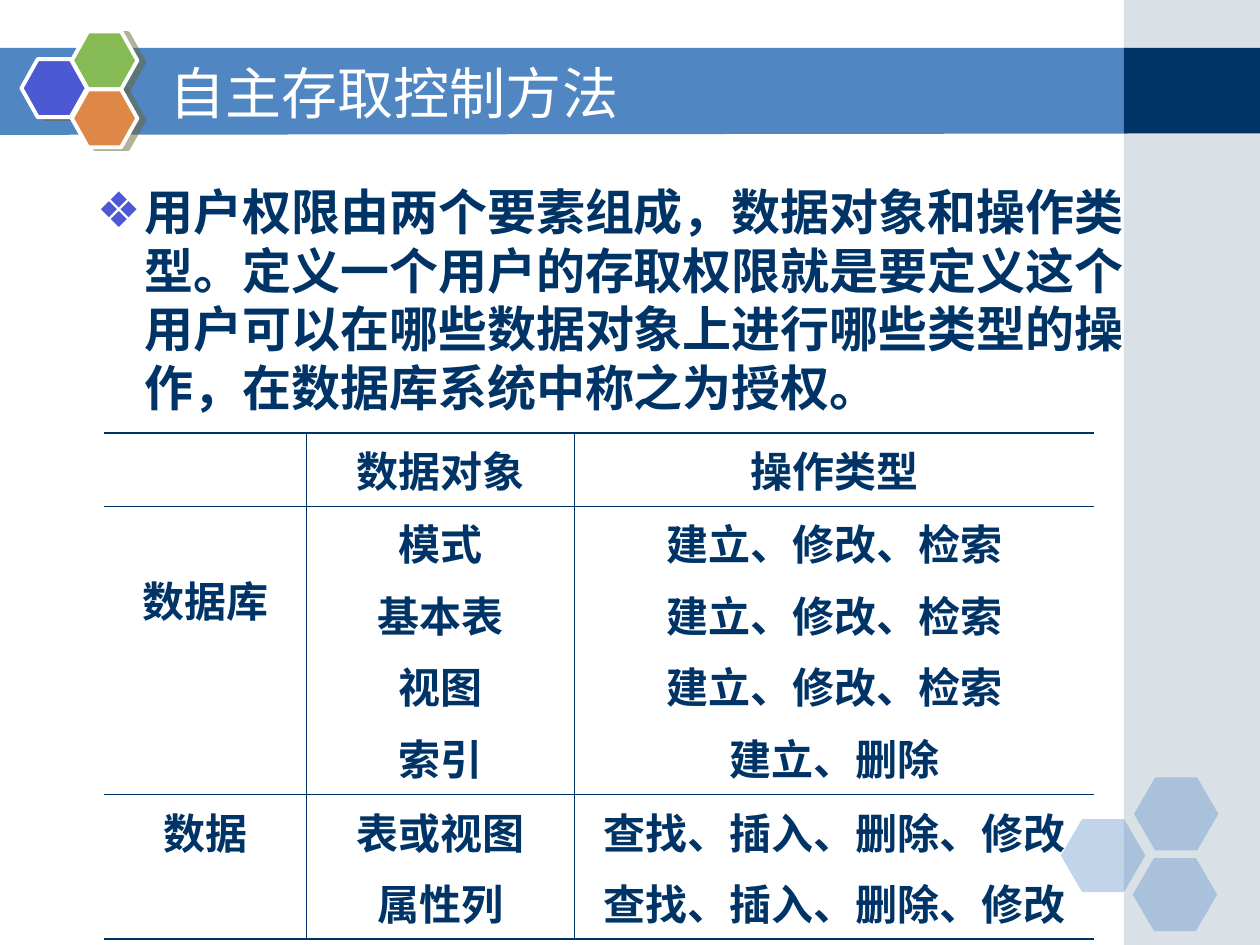
from lxml import etree
from pptx import Presentation
from pptx.dml.color import RGBColor
from pptx.enum.shapes import MSO_SHAPE as SHAPE
from pptx.enum.text import MSO_ANCHOR as ANCHOR, PP_ALIGN as ALIGN
from pptx.oxml.ns import qn
from pptx.util import Inches, Pt

COLS, ROWS = 100, 75  # grid over the slide
NAVY, BLUE, WHITE = "003366", "5086C2", "FFFFFF"


def rgb(value):
    return RGBColor.from_string(value)


def child(parent, tag, **attrs):
    return etree.SubElement(parent, qn(tag), {k: str(v) for k, v in attrs.items()})


def write(p, text, size=24, font="Times New Roman", color=NAVY, bold=False,
          align=None, before=0, asian=None):
    """Put one formatted run in a paragraph."""
    p.alignment = align
    p.space_before = Pt(before)
    r = p.add_run()
    r.text = text
    r.font.size, r.font.name, r.font.bold = Pt(size), font, bold
    r.font.color.rgb = rgb(color)
    if asian:
        child(r.font._element, "a:ea", typeface=asian)
    return p


class Deck:
    sans = "DejaVu Sans"

    def __init__(self):
        self.prs = Presentation()
        self.prs.slide_width, self.prs.slide_height = Inches(10), Inches(7.5)
        self.s = self.prs.slides.add_slide(self.prs.slide_layouts[6])

    def x(self, cols):
        return round(self.prs.slide_width * cols / COLS)

    def y(self, rows):
        return round(self.prs.slide_height * rows / ROWS)

    def box(self, left, top, width, height):
        return self.x(left), self.y(top), self.x(width), self.y(height)

    def paint(self, sp, fill, alpha=None):
        sp.shadow.inherit = False
        sp.fill.solid()
        sp.fill.fore_color.rgb = rgb(fill)
        sp.line.fill.background()
        if alpha:
            color = sp._element.spPr.find(".//" + qn("a:srgbClr"))
            child(color, "a:alpha", val=alpha * 1000)
        return sp

    def shape(self, kind, at, fill, alpha=None):
        return self.paint(self.s.shapes.add_shape(kind, *self.box(*at)), fill, alpha)

    def outline(self, points, fill):
        first, *rest = [(self.x(a), self.y(b)) for a, b in points]
        builder = self.s.shapes.build_freeform(*first)
        builder.add_line_segments(rest, close=True)
        return self.paint(builder.convert_to_shape(), fill)

    def hexagon(self, at, fill, alpha=None, raised=False):
        sp = self.shape(SHAPE.HEXAGON, at, fill, alpha)
        sp.adjustments[0] = 0.28 if raised else 0.29
        if raised:
            sp.line.color.rgb, sp.line.width = rgb(WHITE), Pt(2.25)
            effects = sp._element.spPr.find(qn("a:effectLst"))
            shadow = child(effects, "a:outerShdw", dist=Pt(4.1), dir=14 * 60000,
                           algn="ctr", rotWithShape=0)
            child(child(shadow, "a:srgbClr", val="666633"), "a:alpha", val=50000)

    def text(self, at, text, anchor=ANCHOR.TOP, **style):
        tf = self.s.shapes.add_textbox(*self.box(*at)).text_frame
        tf.word_wrap, tf.vertical_anchor = True, anchor
        return write(tf.paragraphs[0], text, font=self.sans, asian=self.sans, **style)

    def bullet(self, p, char, color, indent):
        pPr = p._p.get_or_add_pPr()
        pPr.set("marL", str(self.x(indent)))
        pPr.set("indent", str(-self.x(indent)))
        child(child(pPr, "a:buClr"), "a:srgbClr", val=color)
        child(pPr, "a:buFont", typeface=self.sans)
        child(pPr, "a:buChar", char=char)

    def border(self, cell, side, width):
        ln = child(cell._tc.get_or_add_tcPr(), "a:ln" + side, w=Pt(width))
        if width:
            child(child(ln, "a:solidFill"), "a:srgbClr", val=NAVY)
        else:
            child(ln, "a:noFill")

    def table(self, left, top, widths, heights, rows):
        n_rows, n_cols = len(rows), len(widths)
        at = self.box(left, top, sum(widths), sum(heights))
        table = self.s.shapes.add_table(n_rows, n_cols, *at).table
        table.first_row = table.horz_banding = False
        for col, width in zip(table.columns, widths):
            col.width = self.x(width)
        for row, height in zip(table.rows, heights):
            row.height = self.y(height)
        thin, thick = 0.45, 1.08
        for i, row in enumerate(rows):
            for j, lines in enumerate(row):
                cell = table.cell(i, j)
                # Open left and right edges, heavy top and bottom
                self.border(cell, "L", thin if j else 0)
                self.border(cell, "R", thin if j < n_cols - 1 else 0)
                self.border(cell, "T", thin if i else thick)
                self.border(cell, "B", thin if i < n_rows - 1 else thick)
                cell.fill.background()
                tf = cell.text_frame
                for k, line in enumerate(lines):
                    p = tf.add_paragraph() if k else tf.paragraphs[0]
                    write(p, line, bold=True, align=ALIGN.CENTER, before=6)
        return table


def main():
    d = Deck()

    # Title band and side column
    d.outline([(-0.1, 3.8), (89.5, 3.8), (89.5, 10.6), (-0.1, 10.7)], BLUE)
    d.shape(SHAPE.RECTANGLE, (89.2, 0, 10.8, ROWS), "A0B5C4", 40)
    d.shape(SHAPE.RECTANGLE, (89.2, 3.8, 10.8, 6.8), NAVY)

    # Pale hexagons at the bottom right
    for left, top in [(84.2, 65), (90, 61.7), (89.9, 68.1)]:
        d.hexagon((left, top, 6.7, 5.8), BLUE, 35)

    # Hexagon cluster beside the title
    for left, top, fill in [(1.7, 4.7, "4C59D2"), (5.7, 2.5, "85BA54"),
                            (5.7, 7.1, "DE8848")]:
        d.hexagon((left, top, 5.2, 4.6), fill, raised=True)

    # Title and body
    d.text((12.5, 4.2, 73.3, 6.2), "自主存取控制方法", ANCHOR.MIDDLE,
           size=32, color=WHITE)
    body = d.text((6.7, 13.9, 85, 24.6),
                  "用户权限由两个要素组成，数据对象和操作类型。"
                  "定义一个用户的存取权限就是要定义这个用户可以在哪些数据对象上"
                  "进行哪些类型的操作，在数据库系统中称之为授权。",
                  size=28, bold=True, before=7)
    d.bullet(body, "❖", "4C59D2", 3.8)

    # Table of objects and operations, rows tall enough for their lines
    schema_ops, data_ops = "建立、修改、检索", "查找、插入、删除、修改"
    table = d.table(8.25, 34.35, [16.1, 21.2, 41.3], [5.8, 22.9, 11.5], [
        [[], ["数据对象"], ["操作类型"]],
        [["数据库"], ["模式", "基本表", "视图", "索引"],
         [schema_ops] * 3 + ["建立、删除"]],
        [["数据"], ["表或视图", "属性列"], [data_ops] * 2],
    ])
    table.cell(1, 0).margin_top = d.y(5)  # lowers the group label

    d.prs.save("out.pptx")


if __name__ == "__main__":
    main()
